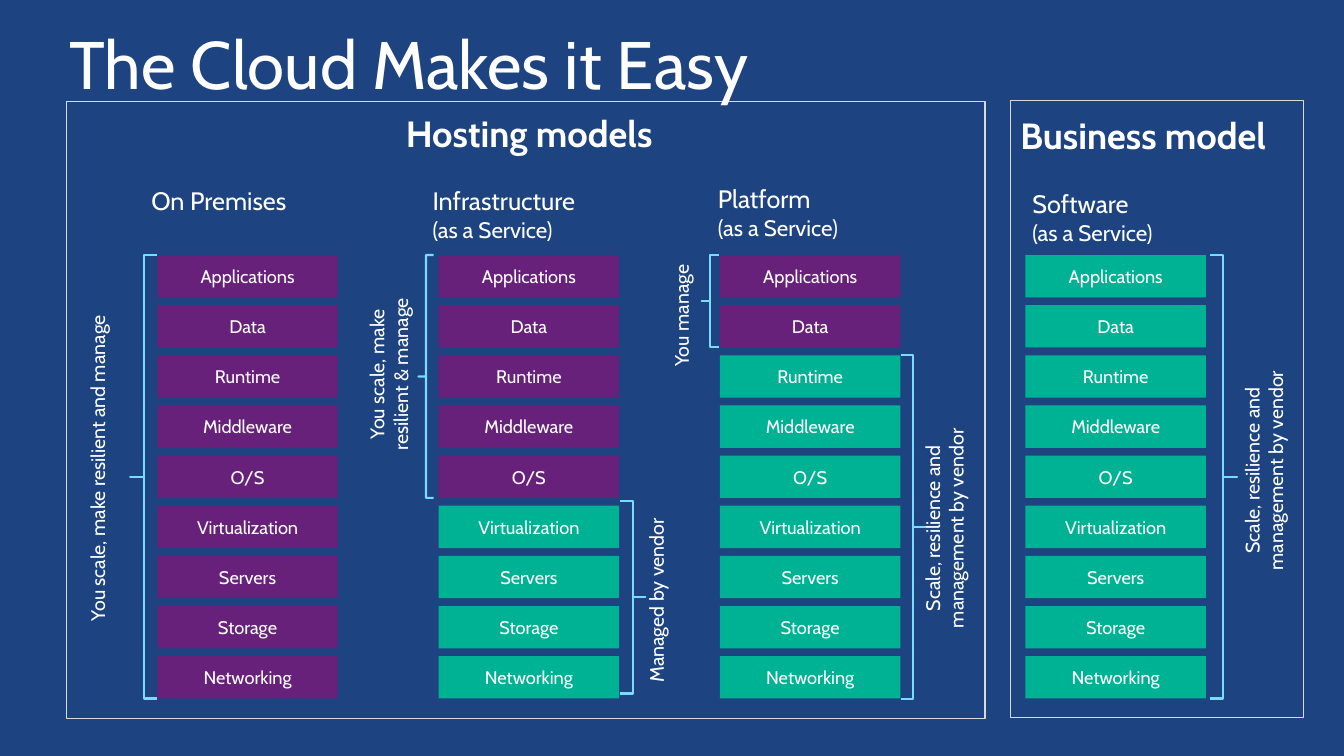
from pptx import Presentation
from pptx.dml.color import RGBColor
from pptx.enum.shapes import MSO_SHAPE
from pptx.enum.text import MSO_ANCHOR, MSO_AUTO_SIZE, PP_ALIGN
from pptx.util import Inches, Pt

FONT = "Cabin"
WHITE, NAVY, GRAY, SKY = "FFFFFF", "1D4380", "D9D9D9", "78DBFF"
CUSTOMER, VENDOR = "68217A", "00B294"
LAYERS = ["Applications", "Data", "Runtime", "Middleware", "O/S",
          "Virtualization", "Servers", "Storage", "Networking"]

STACK_TOP = 2.53
ROW_PITCH = (6.51 - STACK_TOP) / 8
LAYER_WIDTH, LAYER_HEIGHT = 1.79, 0.42
ROW_GAP = ROW_PITCH - LAYER_HEIGHT

VENDOR_LABEL = ["Scale, resilience and", "management by vendor"]
STACKS = [(1.56, 9), (4.35, 5), (7.14, 2), (10.17, 0)]
HEADINGS = [
    (1.36, 1.84, ["On Premises"], PP_ALIGN.CENTER, 1.62),
    (4.29, 1.84, ["Infrastructure", "(as a Service)"], PP_ALIGN.LEFT, 2.6),
    (7.12, 1.82, ["Platform", "(as a Service)"], PP_ALIGN.LEFT, 2.6),
    (10.24, 1.87, ["Software", "(as a Service)"], PP_ALIGN.LEFT, 2.5),
]
BRACES = [
    (1.29, 0, 9, 0.27, False),
    (4.15, 0, 5, 0.15, False),
    (6.15, 4.9, 4, 0.25, True),
    (6.96, 0, 2, 0.17, False),
    (8.94, 2, 7, 0.23, True),
    (12, 0, 9, 0.27, True),
]
SIDE_LABELS = [
    (0.8, 4.25, 3.41, ["You scale, make resilient and manage"]),
    (3.57, 2.38, 1.73, ["You scale, make", "resilient & manage"]),
    (6.34, 6.89, 1.84, ["Managed by vendor"]),
    (6.59, 1.21, 1.2, ["You manage"]),
    (9.08, 5.45, 2.16, VENDOR_LABEL),
    (12.25, 4.3, 2.16, VENDOR_LABEL),
]


def color(hex_value):
    return RGBColor.from_string(hex_value)


def row_top(row):
    return STACK_TOP + row * ROW_PITCH


def write_lines(text_frame, lines, sizes, alignment, bold=False):
    text_frame.text = "\n".join(lines)
    for paragraph, size in zip(text_frame.paragraphs, sizes):
        paragraph.alignment = alignment
        for run in paragraph.runs:
            run.font.name = FONT
            run.font.size = Pt(size)
            run.font.bold = bold
            run.font.color.rgb = color(WHITE)


def add_outline(slide, preset, left, top, width, height, line_color, line_width):
    shape = slide.shapes.add_shape(
        preset, Inches(left), Inches(top), Inches(width), Inches(height))
    shape.shadow.inherit = False
    shape.fill.background()
    shape.line.color.rgb = color(line_color)
    shape.line.width = Pt(line_width)
    return shape


def add_layer(slide, left, row, name, fill):
    shape = slide.shapes.add_shape(
        MSO_SHAPE.RECTANGLE, Inches(left), Inches(row_top(row)),
        Inches(LAYER_WIDTH), Inches(LAYER_HEIGHT))
    shape.shadow.inherit = False
    shape.fill.solid()
    shape.fill.fore_color.rgb = color(fill)
    shape.line.fill.background()
    shape.text_frame.vertical_anchor = MSO_ANCHOR.MIDDLE
    write_lines(shape.text_frame, [name], [13], PP_ALIGN.CENTER)


def add_stack(slide, left, customer_layers):
    for row, name in enumerate(LAYERS):
        add_layer(slide, left, row, name, CUSTOMER if row < customer_layers else VENDOR)


def add_brace(slide, left, first_row, row_count, width, opens_left):
    brace = add_outline(
        slide, MSO_SHAPE.LEFT_BRACE, left, row_top(first_row), width,
        row_count * ROW_PITCH - ROW_GAP, SKY, 1.5)
    brace.adjustments[0] = 0
    brace.adjustments[1] = 0.5
    if opens_left:
        brace._element.spPr.xfrm.set("flipH", "1")


def add_text(slide, left, top, width, height, lines, sizes, alignment, bold=False):
    box = slide.shapes.add_textbox(
        Inches(left), Inches(top), Inches(width), Inches(height))
    frame = box.text_frame
    frame.word_wrap = True
    frame.margin_left = frame.margin_right = frame.margin_top = frame.margin_bottom = 0
    write_lines(frame, lines, sizes, alignment, bold)


def add_side_label(slide, left, center_row, length, lines):
    box = slide.shapes.add_textbox(
        Inches(left), Inches(row_top(center_row) - length / 2),
        Inches(0.21 + 0.23 * len(lines)), Inches(length))
    frame = box.text_frame
    frame.word_wrap = False
    frame.auto_size = MSO_AUTO_SIZE.SHAPE_TO_FIT_TEXT
    frame._txBody.bodyPr.set("vert", "vert270")
    write_lines(frame, lines, [14] * len(lines), PP_ALIGN.CENTER)


def main():
    presentation = Presentation()
    presentation.slide_width = Inches(13.33)
    presentation.slide_height = Inches(7.5)
    slide = presentation.slides.add_slide(presentation.slide_layouts[6])
    slide.background.fill.solid()
    slide.background.fill.fore_color.rgb = color(NAVY)

    add_outline(slide, MSO_SHAPE.RECTANGLE, 0.66, 1.01, 9.11, 6.12, GRAY, 1)
    add_outline(slide, MSO_SHAPE.RECTANGLE, 10.02, 1, 2.91, 6.12, GRAY, 1)
    add_text(slide, 0.69, 0.22, 7.5, 0.81, ["The Cloud Makes it Easy"], [48], PP_ALIGN.LEFT)
    add_text(slide, 0.97, 1.1, 8.56, 0.7, ["Hosting models"], [26], PP_ALIGN.CENTER, True)
    add_text(slide, 9.77, 1.12, 3.14, 0.7, ["Business model"], [26], PP_ALIGN.CENTER, True)

    for left, customer_layers in STACKS:
        add_stack(slide, left, customer_layers)
    for left, top, lines, alignment, width in HEADINGS:
        add_text(slide, left, top, width, 0.7, lines, [18, 16], alignment)
    for brace in BRACES:
        add_brace(slide, *brace)
    for label in SIDE_LABELS:
        add_side_label(slide, *label)

    presentation.save("out.pptx")


if __name__ == "__main__":
    main()
